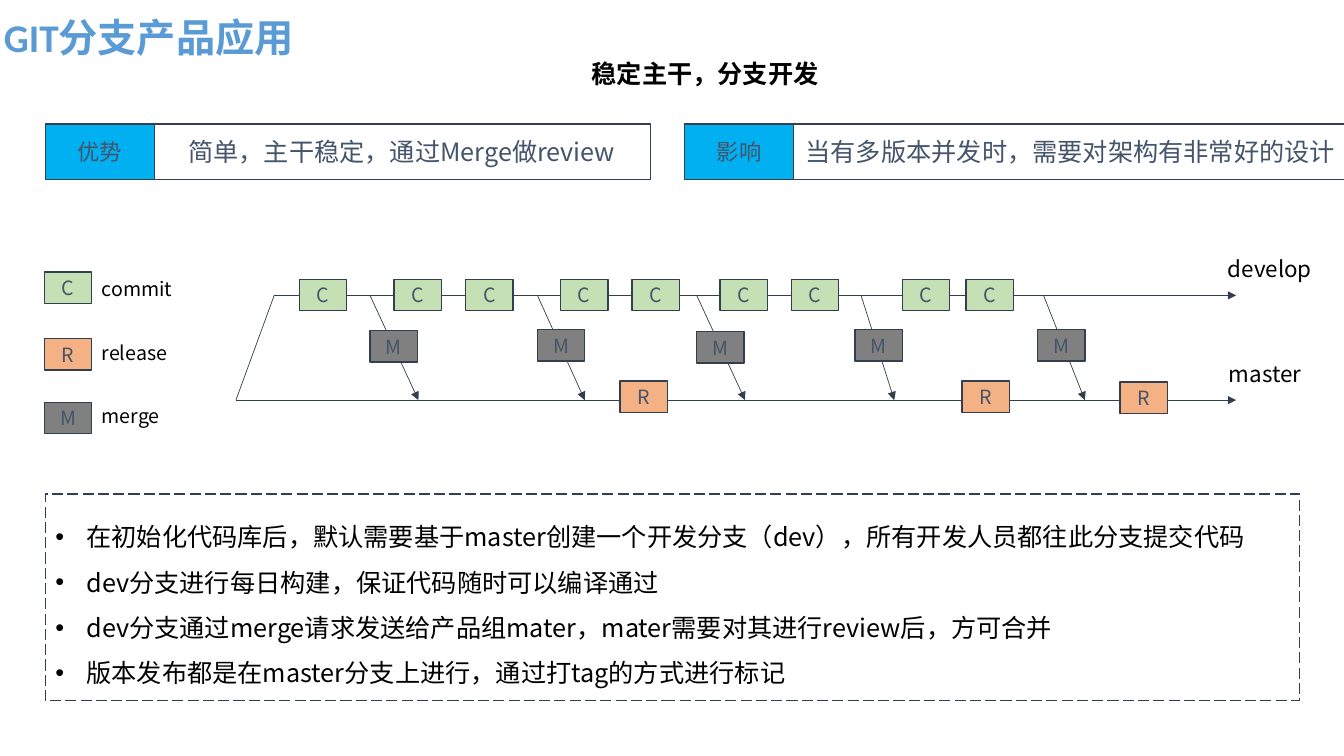
from dataclasses import dataclass

import lxml.etree
import pptx
import pptx.dml.color
import pptx.enum.dml
import pptx.enum.shapes
import pptx.enum.text
import pptx.oxml
import pptx.oxml.ns
import pptx.util

Inches = pptx.util.Inches
Pt = pptx.util.Pt
qn = pptx.oxml.ns.qn
ALIGN = pptx.enum.text.PP_ALIGN


@dataclass(frozen=True)
class Theme:
    font: str = "Noto Sans CJK SC"
    title_font: str = "Calibri"
    headline_font: str = "Arial"
    outline: str = "333F50"
    title: str = "5B9BD5"
    text: str = "000000"
    muted: str = "44546A"
    paper: str = "FFFFFF"
    label: str = "00B0F0"
    commit: str = "C5E0B4"
    release: str = "F4B183"
    merge: str = "808080"
    title_size: int = 28
    body_size: int = 18
    branch_size: int = 16
    node_size: int = 14


theme = Theme()
rgb = pptx.dml.color.RGBColor.from_string

presentation = pptx.Presentation()
presentation.slide_width = Inches(13.33)
presentation.slide_height = Inches(7.5)
slide = presentation.slides.add_slide(presentation.slide_layouts[6])


def add_text(left, top, width, height, text, size, color=theme.text, fill=None,
             font=theme.font, bold=False, align=ALIGN.LEFT, wrap=True):
    """Add a text box, or an outlined rectangle when a fill is given."""
    place = [Inches(value) for value in (left, top, width, height)]
    if fill:
        shape = slide.shapes.add_shape(pptx.enum.shapes.MSO_SHAPE.RECTANGLE, *place)
        shape.shadow.inherit = False
        shape.fill.solid()
        shape.fill.fore_color.rgb = rgb(fill)
        shape.line.color.rgb = rgb(theme.outline)
        shape.line.width = Pt(1)
        shape.text_frame.vertical_anchor = pptx.enum.text.MSO_ANCHOR.MIDDLE
    else:
        shape = slide.shapes.add_textbox(*place)
    shape.text_frame.word_wrap = wrap
    shape.text_frame.text = text
    for paragraph in shape.text_frame.paragraphs:
        paragraph.alignment = align
        for run in paragraph.runs:
            run.font.size = Pt(size)
            run.font.bold = bold
            run.font.name = font
            run.font.color.rgb = rgb(color)
            east_asian = lxml.etree.SubElement(run.font._element, qn("a:ea"))
            east_asian.set("typeface", theme.font)
    return shape


def add_line(x1, y1, x2, y2, arrow=True):
    connector = slide.shapes.add_connector(
        pptx.enum.shapes.MSO_CONNECTOR.STRAIGHT,
        Inches(x1), Inches(y1), Inches(x2), Inches(y2))
    connector.line.color.rgb = rgb(theme.outline)
    connector.line.width = Pt(0.5)
    if arrow:
        line = connector.line._get_or_add_ln()
        lxml.etree.SubElement(line, qn("a:tailEnd")).set("type", "triangle")
    lxml.etree.SubElement(connector._element.spPr, qn("a:effectLst"))


# Headings
add_text(-0.06, 0.08, 3.12, 0.57, "GIT分支产品应用", theme.title_size,
         theme.title, font=theme.title_font, bold=True)
headline = add_text(5.77, 0.56, 2.77, 0.6, "稳定主干，分支开发", theme.body_size,
                    font=theme.headline_font, bold=True)
headline.text_frame.paragraphs[0].line_spacing = 0.9

# Advantage and impact bars
for left, width, label, statement in [
    (0.45, 4.93, "优势", "简单，主干稳定，通过Merge做review"),
    (6.79, 5.51, "影响", "当有多版本并发时，需要对架构有非常好的设计"),
]:
    add_text(left + 1.07, 1.23, width, 0.55, statement, theme.body_size,
             theme.muted, theme.paper, align=ALIGN.CENTER)
    add_text(left, 1.23, 1.08, 0.55, label, theme.branch_size,
             theme.muted, theme.label, align=ALIGN.CENTER)

# Branch lines
develop_y, master_y, branch_end = 2.93, 3.97, 12.26
add_line(2.72, develop_y, branch_end, develop_y)
add_line(2.34, master_y, branch_end, master_y)
add_line(2.34, master_y, 2.72, develop_y, arrow=False)
for name, left, top, width in [("develop", 12.08, 2.48, 1.06), ("master", 12.09, 3.52, 0.94)]:
    add_text(left, top, width, 0.37, name, theme.branch_size, wrap=False)

# Merge arrows from develop to master
for start, end in [(3.67, 4.15), (5.33, 5.8), (6.91, 7.39), (8.54, 8.87), (10.35, 10.76)]:
    add_line(start, develop_y, end, master_y)

# Nodes on the branches, and the legend swatches
node_fills = {"C": theme.commit, "R": theme.release, "M": theme.merge}
legend = [("C", "commit", 2.7, 0.92), ("R", "release", 3.36, 0.86), ("M", "merge", 3.99, 0.81)]
nodes = [(letter, 0.44, top) for letter, name, top, width in legend]
nodes += [("C", left, 2.77)
          for left in (2.97, 3.91, 4.62, 5.56, 6.27, 7.14, 7.85, 8.95, 9.58)]
nodes += [("M", 3.67, 3.28), ("M", 5.33, 3.27), ("M", 6.91, 3.29), ("M", 8.48, 3.27),
          ("M", 10.29, 3.27)]
nodes += [("R", 6.15, 3.78), ("R", 9.54, 3.78), ("R", 11.11, 3.79)]
for letter, left, top in nodes:
    add_text(left, top, 0.47, 0.31, letter, theme.node_size, theme.muted,
             node_fills[letter], align=ALIGN.CENTER)
for row, (letter, name, top, width) in enumerate(legend):
    add_text(0.91, 2.7 + row * 0.63, width, 0.34, name, theme.node_size, wrap=False)

# Workflow rules
rules = add_text(0.45, 4.9, 12.44, 2.05, "\n".join([
    "在初始化代码库后，默认需要基于master创建一个开发分支（dev），所有开发人员都往此分支提交代码",
    "dev分支进行每日构建，保证代码随时可以编译通过",
    "dev分支通过merge请求发送给产品组mater，mater需要对其进行review后，方可合并",
    "版本发布都是在master分支上进行，通过打tag的方式进行标记",
]), theme.body_size, fill=theme.paper)
rules.line.dash_style = pptx.enum.dml.MSO_LINE.LONG_DASH
for paragraph in rules.text_frame.paragraphs:
    paragraph.line_spacing = 1.5
    properties = paragraph._p.get_or_add_pPr()
    properties.set("marL", str(Inches(0.31)))
    properties.set("indent", str(Inches(-0.31)))
    lxml.etree.SubElement(properties, qn("a:buFont")).set("typeface", "Arial")
    lxml.etree.SubElement(properties, qn("a:buChar")).set("char", "•")

presentation.save("out.pptx")
